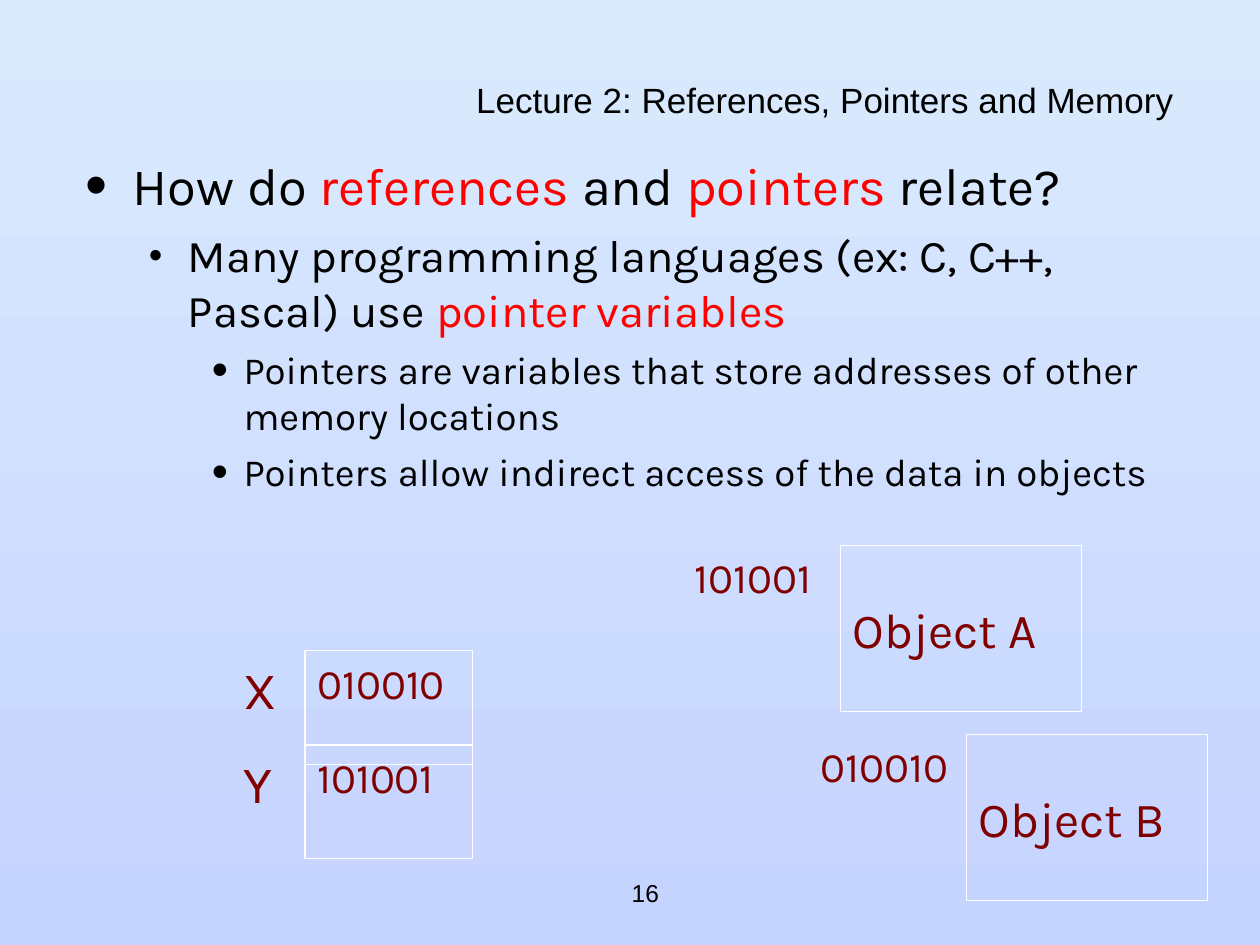
from lxml.etree import SubElement
from pptx import Presentation
from pptx.dml.color import RGBColor
from pptx.enum.shapes import MSO_SHAPE as Shape
from pptx.enum.text import MSO_ANCHOR as Anchor, PP_ALIGN as Align
from pptx.oxml.ns import qn
from pptx.util import Cm, Pt

BLACK, RED, MAROON, WHITE = "000000", "FF0000", "800000", "FFFFFF"
LEVELS = [
    {"size": 30, "margin": 0.95, "hang": 0.95, "bullet": 120, "before": 0},
    {"size": 26, "margin": 2.06, "hang": 0.79, "bullet": 85, "before": 6.5},
    {"size": 22, "margin": 3.18, "hang": 0.64, "bullet": 120, "before": 5.5},
]
POINTS = [
    (0, [("How do ", BLACK), ("references", RED), (" and ", BLACK),
         ("pointers", RED), (" relate?", BLACK)]),
    (1, [("Many programming languages (ex: C, C++, Pascal) use ", BLACK),
         ("pointer variables", RED)]),
    (2, [("Pointers are variables that store addresses of other memory locations", BLACK)]),
    (2, [("Pointers allow indirect access of the data in objects", BLACK)]),
]


def colour(value):
    """Turn a hex string into a colour."""
    return RGBColor.from_string(value)


def place(shape, box):
    """Move a shape to a box of left, top, width and height in centimetres."""
    for name, value in zip(("left", "top", "width", "height"), box):
        setattr(shape, name, Cm(value))


def set_values(target, values):
    """Set each named attribute of an object."""
    for name, value in values.items():
        setattr(target, name, value)


def add_span(para, text, size, shade, font="Karla"):
    """Add a formatted run to a paragraph."""
    span = para.add_run()
    span.text = text
    set_values(span.font, {"name": font, "size": Pt(size), "bold": False})
    span.font.color.rgb = colour(shade)


def write(shape, text, size, shade=MAROON, font="Karla", align=Align.LEFT, anchor=Anchor.TOP):
    """Write one line of text in a shape."""
    set_values(shape.text_frame, {"word_wrap": True, "vertical_anchor": anchor})
    para = shape.text_frame.paragraphs[0]
    para.alignment = align
    add_span(para, text, size, shade, font)


def add_label(page, box, text, size, **options):
    """Add a text box holding one line."""
    write(page.shapes.add_textbox(*map(Cm, box)), text, size, **options)


def add_cell(page, box, text, size, anchor=Anchor.TOP):
    """Add an outlined rectangle holding one line."""
    cell = page.shapes.add_shape(Shape.RECTANGLE, *map(Cm, box))
    cell.shadow.inherit = False
    cell.fill.background()
    cell.line.color.rgb = colour(WHITE)
    cell.line.width = Pt(0.75)
    write(cell, text, size, anchor=anchor)


def add_title(page, box):
    """Place and format the lecture title."""
    title = page.shapes.title
    place(title, box)
    write(title, "Lecture 2: References, Pointers and Memory", 20, BLACK,
          "Arial", Align.RIGHT, Anchor.MIDDLE)
    title.text_frame.paragraphs[0].line_spacing = 0.7


def add_bullet(para, level):
    """Give a paragraph its indent and bullet."""
    props = para._p.get_or_add_pPr()
    props.set("marL", str(Cm(level["margin"])))
    props.set("indent", str(-Cm(level["hang"])))
    shade = SubElement(props, qn("a:buClr"))
    SubElement(shade, qn("a:srgbClr"), val=BLACK)
    SubElement(props, qn("a:buSzPct"), val=str(level["bullet"] * 1000))
    SubElement(props, qn("a:buFont"), typeface="Arial")
    SubElement(props, qn("a:buChar"), char="•")


def add_points(page, box):
    """Add the bulleted explanation."""
    frame = page.shapes.add_textbox(*map(Cm, box)).text_frame
    frame.word_wrap = True
    for index, (depth, spans) in enumerate(POINTS):
        para = frame.add_paragraph() if index else frame.paragraphs[0]
        level = LEVELS[depth]
        add_bullet(para, level)
        set_values(para, {"level": depth, "space_before": Pt(level["before"])})
        for text, shade in spans:
            add_span(para, text, level["size"], shade)


def add_variable(page, box, name, address):
    """Add a variable name beside the cell with its stored address."""
    left, top, width, height = box
    name_width = 1.5
    add_label(page, (left, top, name_width, 1.52), name, 30)
    add_cell(page, (left + name_width, top, width - name_width, height), address, 24)


def add_object(page, box, name, address):
    """Add an address beside the object stored there."""
    left, top, width, height = box
    offset = 3.18
    add_cell(page, (left + offset, top, width - offset, height), name, 28, Anchor.MIDDLE)
    add_label(page, (left, top, 3.39, 2.29), address, 24)


def add_background(page):
    """Shade the page from light to deeper blue downwards."""
    fill = page.background.fill
    fill.gradient()
    fill.gradient_angle = 270
    for stop, position, shade in zip(fill.gradient_stops, (0, 1), ("DAEBFE", "C5D3FF")):
        stop.position = position
        stop.color.rgb = colour(shade)


def main():
    """Build and save the deck."""
    deck = Presentation()
    set_values(deck, {"slide_width": Cm(25.4), "slide_height": Cm(19.05)})
    page = deck.slides.add_slide(deck.slide_layouts[5])
    add_background(page)
    add_title(page, (1.48, 1.69, 22.44, 0.85))
    add_points(page, (1.48, 2.96, 22.44, 13.97))
    for row, (name, address) in enumerate([("X", "010010"), ("Y", "101001")]):
        add_variable(page, (4.65, 13.12 + 1.9 * row, 4.88, 2.29), name, address)
    for step, (name, address) in enumerate([("Object A", "101001"), ("Object B", "010010")]):
        add_object(page, (13.76 + 2.54 * step, 11 + 3.81 * step, 8.05, 3.35), name, address)
    add_label(page, (10.37, 17.36, 5.28, 1.27), "16", 14, shade=BLACK, font="Arial",
              align=Align.CENTER, anchor=Anchor.MIDDLE)
    deck.save("out.pptx")


if __name__ == "__main__":
    main()
